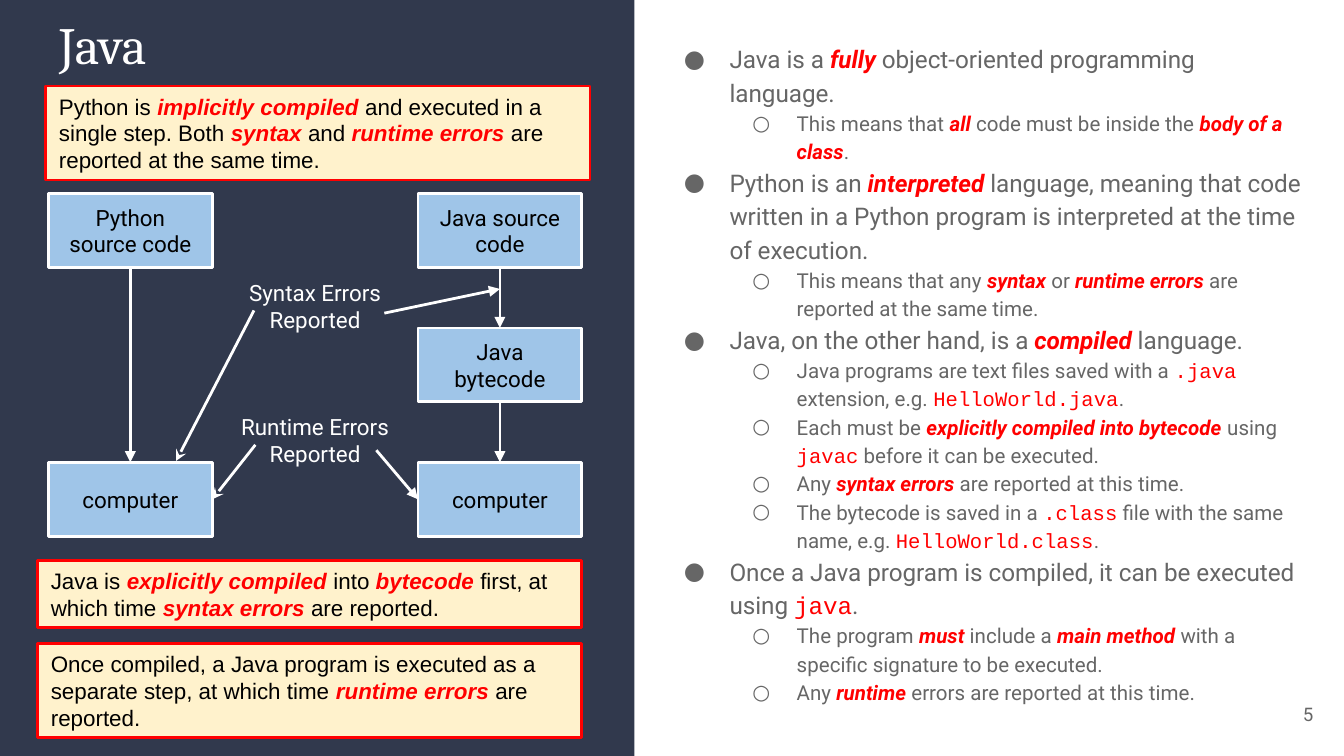
import pptx
import pptx.util
import pptx.dml.color
import pptx.enum.shapes
import pptx.enum.text
import pptx.oxml.xmlchemy
from pptx.util import Inches, Pt

RGBColor = pptx.dml.color.RGBColor
PP_ALIGN = pptx.enum.text.PP_ALIGN
MSO_ANCHOR = pptx.enum.text.MSO_ANCHOR
NAVY = RGBColor(0x31, 0x39, 0x4D)
CREAM = RGBColor(0xFF, 0xF2, 0xCC)
SKY = RGBColor(0x9F, 0xC5, 0xE8)
RED = RGBColor(0xFF, 0, 0)
GRAY = RGBColor(0x66, 0x66, 0x66)
BLACK = RGBColor(0, 0, 0)
WHITE = RGBColor(0xFF, 0xFF, 0xFF)
HEIGHT = 10 * 9 / 16

POINTS = [
    (0, "Java is a *fully *object-oriented programming language."),
    (1, "This means that *all *code must be inside the *body of a class*."),
    (0, "Python is an *interpreted *language, meaning that code written in a "
        "Python program is interpreted at the time of execution."),
    (1, "This means that any *syntax *or *runtime errors *are reported at the same time."),
    (0, "Java, on the other hand, is a *compiled *language."),
    (1, "Java programs are text files saved with a `.java` extension, e.g. `HelloWorld.java`."),
    (1, "Each must be *explicitly compiled into bytecode* using `javac` before it can be executed."),
    (1, "Any *syntax errors *are reported at this time."),
    (1, "The bytecode is saved in a `.class` file with the same name, e.g. `HelloWorld.class`."),
    (0, "Once a Java program is compiled, it can be executed using `java`."),
    (1, "The program *must *include a *main method *with a specific signature to be executed."),
    (1, "Any *runtime *errors are reported at this time."),
]
NOTES = [
    (0.34, 0.64, 0.7, "Python is *implicitly compiled *and executed in a single step. "
     "Both *syntax *and *runtime errors *are reported at the same time."),
    (0.28, 4.17, 0.5, "Java is *explicitly compiled *into *bytecode *first, "
     "at which time *syntax errors *are reported."),
    (0.28, 4.79, 0.7, "Once compiled, a Java program is executed as a separate step, "
     "at which time *runtime errors *are reported."),
]


def add_element(parent, tag, **attributes):
    """Append a drawing element with attributes."""
    element = pptx.oxml.xmlchemy.OxmlElement(tag)
    for name, value in attributes.items():
        element.set(name, value)
    parent.append(element)
    return element


def set_frame(tf, anchor=MSO_ANCHOR.MIDDLE):
    """Give a text frame wrapping, equal margins and an anchor."""
    tf.word_wrap = True
    tf.auto_size = pptx.enum.text.MSO_AUTO_SIZE.NONE
    tf.vertical_anchor = anchor
    tf.margin_left = tf.margin_right = tf.margin_top = tf.margin_bottom = Inches(0.1)


def set_font(font, size, name, color):
    """Set size, typeface and colour."""
    font.size, font.name = Pt(size), name
    font.color.rgb = color


def write_plain(tf, text, size, name, color, align):
    """Write one evenly formatted paragraph."""
    set_frame(tf)
    tf.text = text
    p = tf.paragraphs[0]
    p.alignment = align
    set_font(p.font, size, name, color)


def write_marked(p, text, size, name, color):
    """Write runs, with *emphasis* and `code` in red."""
    for i, part in enumerate(text.split("*")):
        for j, piece in enumerate(part.split("`")):
            if piece:
                r = p.add_run()
                r.text = piece
                set_font(r.font, size, "Courier New" if j % 2 else name,
                         RED if i % 2 or j % 2 else color)
                if i % 2:
                    r.font.bold = r.font.italic = True


def add_box(s, x, y, w, h, fill, line=None):
    """Add a filled rectangle with an optional outline."""
    sp = s.shapes.add_shape(pptx.enum.shapes.MSO_SHAPE.RECTANGLE,
                            Inches(x), Inches(y), Inches(w), Inches(h))
    sp.shadow.inherit = False
    sp.fill.solid()
    sp.fill.fore_color.rgb = fill
    if line is None:
        sp.line.fill.background()
    else:
        sp.line.color.rgb = line
        sp.line.width = Pt(1.5)
    return sp


def add_node(s, x, y, text):
    """Add a blue step of the diagram."""
    sp = add_box(s, x, y, 1.22, 0.55, SKY, WHITE)
    write_plain(sp.text_frame, text, 12, "Roboto", BLACK, PP_ALIGN.CENTER)
    return sp


def add_note(s, x, y, h, text):
    """Add a cream remark with a red outline."""
    tf = add_box(s, x, y, 4.05, h, CREAM, RED).text_frame
    set_frame(tf)
    p = tf.paragraphs[0]
    p.alignment = PP_ALIGN.LEFT
    write_marked(p, text, 12, "Arial", BLACK)


def add_label(s, x, y, w, h, text, size, color, align):
    """Add a plain text box."""
    sp = s.shapes.add_textbox(Inches(x), Inches(y), Inches(w), Inches(h))
    write_plain(sp.text_frame, text, size, "Roboto", color, align)


def add_arrow(s, x1, y1, x2, y2, head="triangle"):
    """Add a white arrow."""
    line = s.shapes.add_connector(pptx.enum.shapes.MSO_CONNECTOR.STRAIGHT,
                                  Inches(x1), Inches(y1), Inches(x2), Inches(y2))
    line.line.color.rgb = WHITE
    line.line.width = Pt(1.5)
    add_element(line.line._get_or_add_ln(), "a:tailEnd", type=head)
    add_element(line._element.spPr, "a:effectLst")
    return line


def join_down(s, top, bottom):
    """Join the bottom of one step to the top of another."""
    line = add_arrow(s, 0, 0, 1, 1)
    line.begin_connect(top, 2)
    line.end_connect(bottom, 0)


def add_bullet(p, level):
    """Give a paragraph its indent and bullet."""
    pPr = p._p.get_or_add_pPr()
    pPr.set("marL", str(Inches((0.5, 1)[level])))
    pPr.set("indent", str(Inches((-0.34, -0.33)[level])))
    add_element(add_element(pPr, "a:buClr"), "a:srgbClr", val=str(GRAY))
    add_element(pPr, "a:buFont", typeface="Roboto")
    add_element(pPr, "a:buChar", char="●○"[level])


def add_points(s):
    """Add the two-level bullet list."""
    tf = s.shapes.add_textbox(Inches(4.83), Inches(0.2), Inches(4.96), Inches(5.03)).text_frame
    set_frame(tf, MSO_ANCHOR.TOP)
    for i, (level, text) in enumerate(POINTS):
        p = tf.add_paragraph() if i else tf.paragraphs[0]
        p.level = level
        p.line_spacing = 1.15
        add_bullet(p, level)
        write_marked(p, text, (13, 11)[level], "Roboto", GRAY)


def add_diagram(s):
    """Add the steps, their arrows and the error labels."""
    left, right = 0.36, 3.11
    python = add_node(s, left, 1.44, "Python source code")
    python_computer = add_node(s, left, 3.44, "computer")
    java = add_node(s, right, 1.44, "Java source code")
    bytecode = add_node(s, right, 2.44, "Java bytecode")
    java_computer = add_node(s, right, 3.44, "computer")
    for top, bottom in ((python, python_computer), (java, bytecode), (bytecode, java_computer)):
        join_down(s, top, bottom)
    for y, kind in ((2.12, "Syntax"), (3.12, "Runtime")):
        add_label(s, 1.68, y, 1.33, 0.31, f"{kind} Errors Reported", 12, WHITE, PP_ALIGN.CENTER)
    add_arrow(s, 1.89, 2.31, 1.31, 3.43, "stealth")
    add_arrow(s, 2.86, 2.33, 3.72, 2.15)
    add_arrow(s, 1.9, 3.31, 1.58, 3.71, "stealth").end_connect(python_computer, 3)
    add_arrow(s, 2.8, 3.35, 3.11, 3.71).end_connect(java_computer, 1)


def main():
    """Build and save the slide."""
    prs = pptx.Presentation()
    prs.slide_width, prs.slide_height = Inches(10), Inches(HEIGHT)
    s = prs.slides.add_slide(prs.slide_layouts[5])
    panel = add_box(s, 0, 0, 4.72, HEIGHT, NAVY)
    s.shapes._spTree.insert(2, panel._element)
    title = s.shapes.title
    title.left, title.top = Inches(0.34), Inches(0.05)
    title.width, title.height = Inches(4.05), Inches(0.55)
    write_plain(title.text_frame, "Java", 28, "Cambria", WHITE, PP_ALIGN.LEFT)
    add_points(s)
    add_label(s, 9.27, 5.1, 0.6, 0.43, "5", 10, GRAY, PP_ALIGN.RIGHT)
    for note in NOTES:
        add_note(s, *note)
    add_diagram(s)
    prs.save("out.pptx")


if __name__ == "__main__":
    main()
